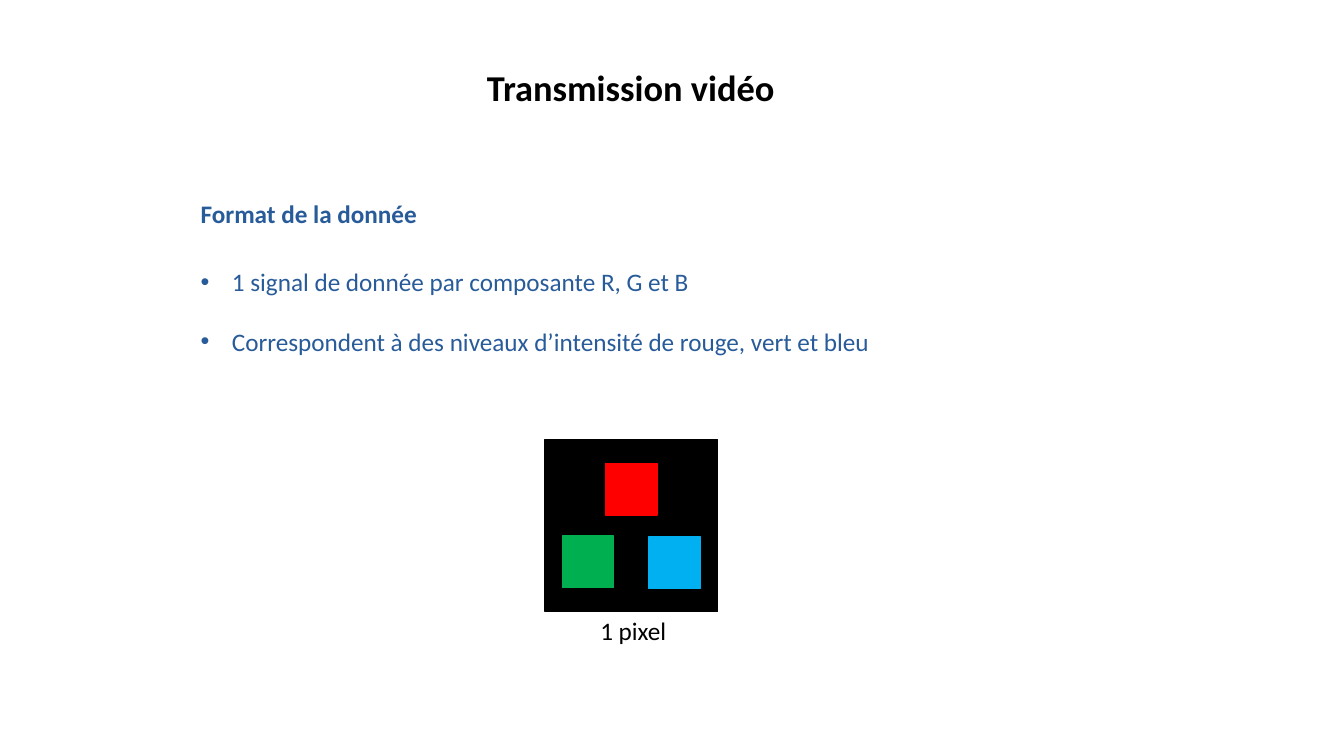
from pptx import Presentation
from pptx.dml.color import RGBColor as Rgb
from pptx.enum.shapes import MSO_SHAPE as Preset
from pptx.enum.text import MSO_ANCHOR as Anchor, MSO_AUTO_SIZE as AutoSize, PP_ALIGN as Align
from pptx.oxml.ns import qn
from pptx.util import Cm, Pt
from lxml.etree import SubElement

COLORS = {
    "black": "000000",
    "text": "285B99",
    "red": "FF0000",
    "green": "00B050",
    "blue": "00B0F0",
}
FONT = "Calibri"
LEFT, WIDTH = 4.8, 22.2


class SlideBuilder:
    def __init__(self, slide):
        self.slide = slide

    def fill_text(self, shape, box, lines, color, size=18, bold=False,
                  align=Align.LEFT, anchor=Anchor.MIDDLE):
        shape.left, shape.top, shape.width, shape.height = (Cm(length) for length in box)
        frame = shape.text_frame
        frame.text = "\n".join(lines)
        frame.word_wrap = True
        frame.auto_size = AutoSize.NONE
        frame.vertical_anchor = anchor
        for paragraph in frame.paragraphs:
            paragraph.alignment = align
            paragraph.space_before = Pt(0)
            for run in paragraph.runs:
                run.font.name = FONT
                run.font.size = Pt(size)
                run.font.bold = bold
                run.font.color.rgb = Rgb.from_string(COLORS[color])
        return frame

    def title(self, text, box):
        self.fill_text(self.slide.shapes.title, box, [text], "black", 26, True, Align.CENTER)

    def heading(self, text, box):
        frame = self.fill_text(self.slide.placeholders[1], box, [text], "text", bold=True)
        self.bullet(frame.paragraphs[0], 0, None)

    def bullet_list(self, items, box):
        frame = self.fill_text(self.slide.placeholders[2], box, items, "text", anchor=Anchor.TOP)
        for paragraph in frame.paragraphs:
            paragraph.space_after = Pt(21)
            self.bullet(paragraph, 0.79, "•")

    def bullet(self, paragraph, indent, character):
        properties = paragraph._p.get_or_add_pPr()
        properties.set("marL", str(Cm(indent)))
        properties.set("indent", str(-Cm(indent)))
        if character:
            SubElement(properties, qn("a:buChar")).set("char", character)
        else:
            SubElement(properties, qn("a:buNone"))

    def caption(self, text, box):
        shape = self.slide.shapes.add_textbox(*(Cm(length) for length in box))
        self.fill_text(shape, box, [text], "black", align=Align.CENTER, anchor=Anchor.TOP)

    def group(self):
        return self.slide.shapes.add_group_shape()

    def square(self, group, left, top, side, color):
        shape = group.shapes.add_shape(Preset.RECTANGLE, Cm(left), Cm(top), Cm(side), Cm(side))
        shape.shadow.inherit = False
        shape.fill.solid()
        shape.fill.fore_color.rgb = Rgb.from_string(COLORS[color])
        shape.line.color.rgb = Rgb.from_string(COLORS[color])
        shape.line.width = Pt(1)


presentation = Presentation()
presentation.slide_width = Cm(33.87)
presentation.slide_height = Cm(19.05)
builder = SlideBuilder(presentation.slides.add_slide(presentation.slide_layouts[3]))

builder.title("Transmission vidéo", (LEFT, 0.69, WIDTH, 3))
builder.heading("Format de la donnée", (LEFT, 4.67, WIDTH, 1.42))
builder.bullet_list([
    "1 signal de donnée par composante R, G et B",
    "Correspondent à des niveaux d’intensité de rouge, vert et bleu",
], (LEFT, 6.58, WIDTH, 8.64))

pixel_left, pixel_top, pixel_side, cell_side = 13.74, 11.07, 4.34, 1.3
cell_left = pixel_left + (pixel_side - cell_side) / 2
pixel = builder.group()
builder.square(pixel, pixel_left, pixel_top, pixel_side, "black")
for color, shift, drop in (("red", 0, 0.61), ("green", -1.09, 2.44), ("blue", 1.09, 2.46)):
    builder.square(pixel, cell_left + shift, pixel_top + drop, cell_side, color)
builder.caption("1 pixel", (14.5, 15.39, 2.92, 1.02))

presentation.save("out.pptx")
